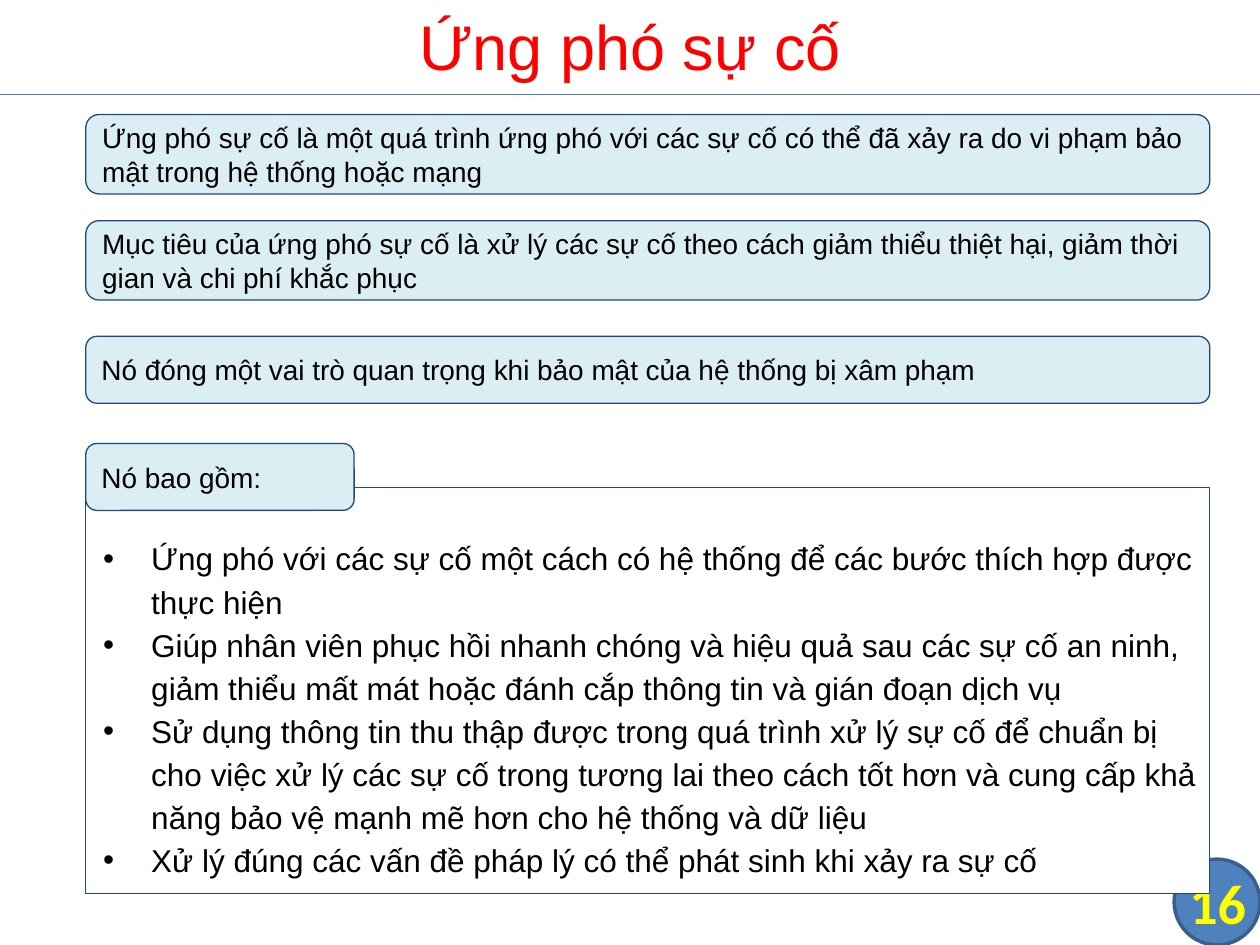
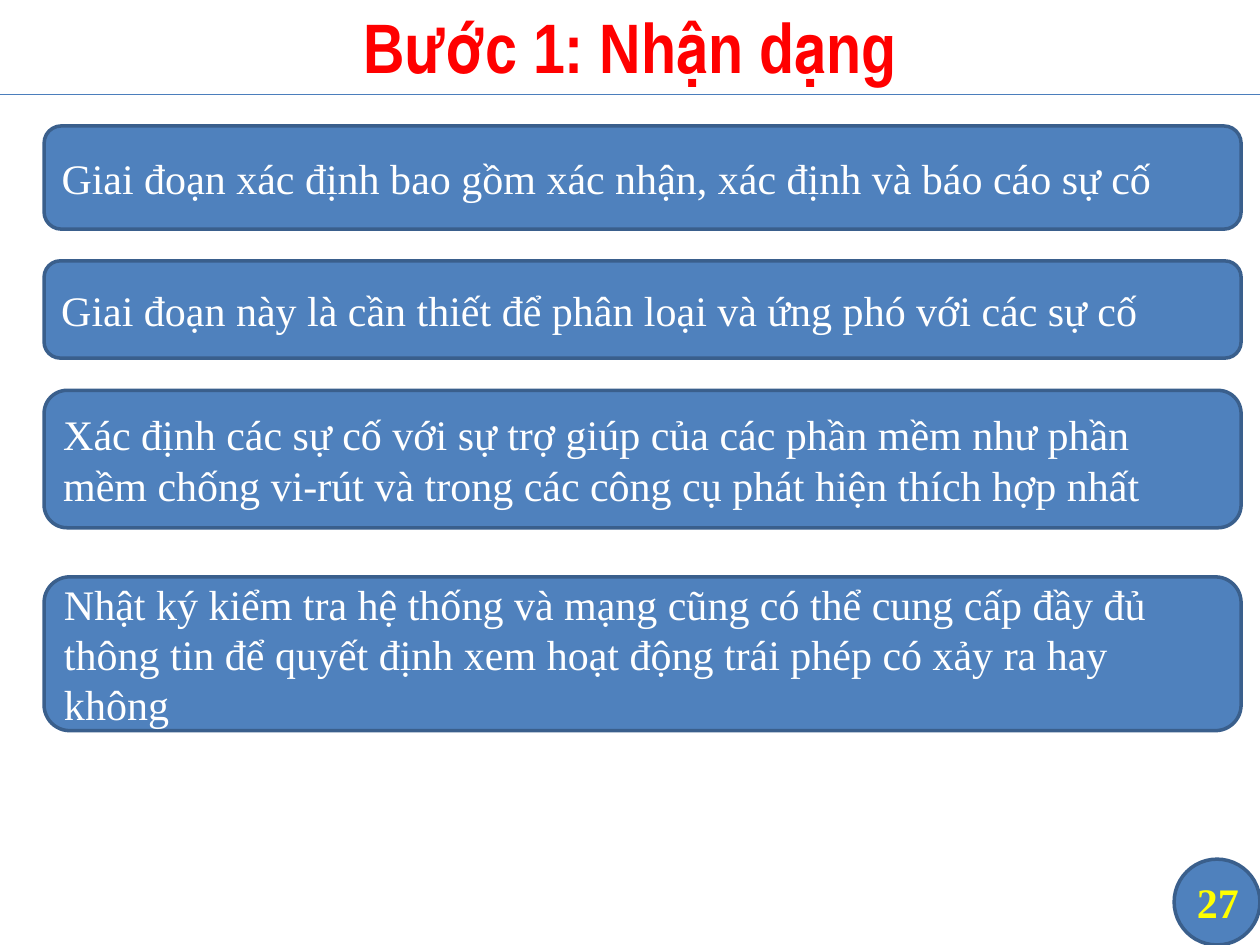
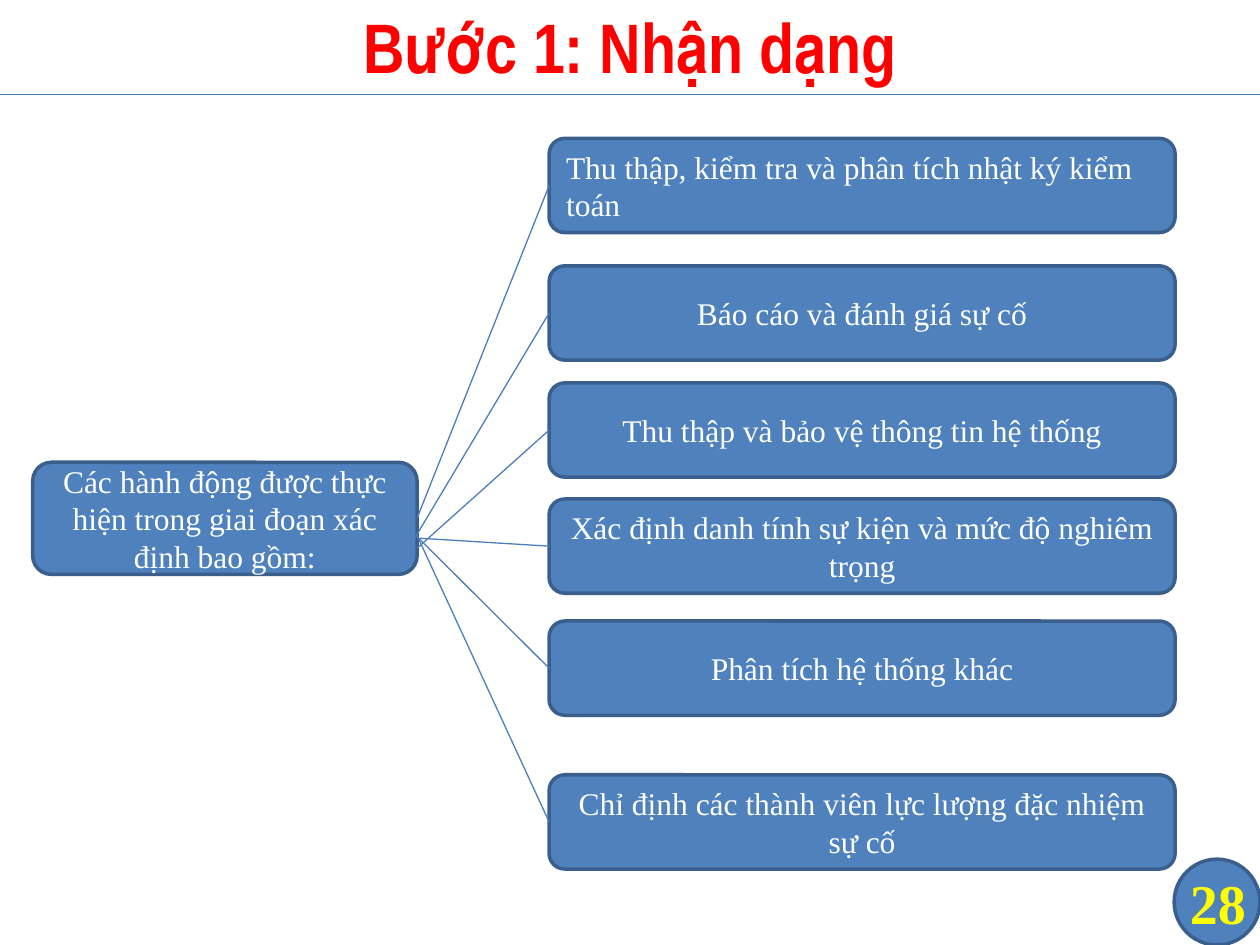
"""Build three slides on incident response and its identification step."""
from dataclasses import dataclass

from lxml import etree
from pptx import Presentation
from pptx.dml.color import RGBColor
from pptx.enum.shapes import MSO_CONNECTOR, MSO_SHAPE
from pptx.enum.text import MSO_ANCHOR, PP_ALIGN
from pptx.oxml.ns import qn
from pptx.util import Cm, Pt

ROUNDED = MSO_SHAPE.ROUNDED_RECTANGLE
RECTANGLE = MSO_SHAPE.RECTANGLE
DISC = MSO_SHAPE.FLOWCHART_CONNECTOR
STRAIGHT = MSO_CONNECTOR.STRAIGHT
LEFT, CENTER = PP_ALIGN.LEFT, PP_ALIGN.CENTER
TOP, MIDDLE = MSO_ANCHOR.TOP, MSO_ANCHOR.MIDDLE


@dataclass(frozen=True)
class Theme:
    red: str = "FF0000"
    yellow: str = "FFFF00"
    black: str = "000000"
    white: str = "FFFFFF"
    blue: str = "4F81BD"
    blue_edge: str = "3A5F8C"
    rule: str = "4B7EBC"
    pale: str = "DBEEF4"
    navy: str = "1F497D"
    sans: str = "Arial"
    narrow: str = "Arial Narrow"
    serif: str = "Times New Roman"
    rounded_sans: str = "Calibri"
    definition: int = 16
    body: int = 18
    statement: int = 24
    thin: float = 0.75
    thick: float = 2


THEME = Theme()
PALE = (THEME.pale, THEME.navy, THEME.thin)
SOLID = (THEME.blue, THEME.blue_edge, THEME.thick)
WHITE = (THEME.white, THEME.navy, THEME.thin)


def add_block(slide, at, lines=(), kind=None, paint=None, font=THEME.serif, size=THEME.body,
              color=THEME.white, align=LEFT, anchor=MIDDLE, bold=False, inset=(0.25, 0.13)):
    box = [Cm(length) for length in at]
    if kind is None:
        block = slide.shapes.add_textbox(*box)
    else:
        fill, edge, weight = paint
        block = slide.shapes.add_shape(kind, *box)
        block.shadow.inherit = False
        block.fill.solid()
        block.fill.fore_color.rgb = RGBColor.from_string(fill)
        block.line.color.rgb = RGBColor.from_string(edge)
        block.line.width = Pt(weight)
    frame = block.text_frame
    frame.word_wrap = True
    frame.vertical_anchor = anchor
    frame.margin_left = frame.margin_right = Cm(inset[0])
    frame.margin_top = frame.margin_bottom = Cm(inset[1])
    for index, line in enumerate(lines):
        paragraph = frame.add_paragraph() if index else frame.paragraphs[0]
        paragraph.text = line
        paragraph.alignment = align
        paragraph.font.name = font
        paragraph.font.size = Pt(size)
        paragraph.font.bold = bold
        paragraph.font.color.rgb = RGBColor.from_string(color)
    return frame


def add_rule(slide, *ends):
    rule = slide.shapes.add_connector(STRAIGHT, *[Cm(end) for end in ends])
    rule.line.color.rgb = RGBColor.from_string(THEME.rule)
    rule.line.width = Pt(THEME.thin)
    etree.SubElement(rule._element.spPr, qn("a:effectLst"))


deck = Presentation()
deck.slide_width, deck.slide_height = Cm(25.4), Cm(19.05)

headings = [
    ("Ứng phó sự cố", THEME.sans, 36, False, "16", THEME.rounded_sans, 32),
    ("Bước 1: Nhận dạng", THEME.narrow, 40, True, "27", THEME.serif, 24),
    ("Bước 1: Nhận dạng", THEME.narrow, 40, True, "28", THEME.serif, 32),
]
slides = []
for title, title_font, title_size, title_bold, number, number_font, number_size in headings:
    slide = deck.slides.add_slide(deck.slide_layouts[6])
    add_block(slide, (23.67, 17.32, 1.73, 1.73), kind=DISC, paint=SOLID)
    add_rule(slide, 0, 1.9, 25.4, 1.9)
    add_block(slide, (0, -0.08, 25.4, 1.98), [title], font=title_font, size=title_size,
              color=THEME.red, align=CENTER, bold=title_bold)
    add_block(slide, (23.7, 17.32, 1.7, 1.73), [number], font=number_font, size=number_size,
              color=THEME.yellow, align=CENTER, bold=True, inset=(0, 0))
    slides.append(slide)
response, identification, actions = slides

benefits = [
    "Ứng phó với các sự cố một cách có hệ thống để các bước thích hợp được thực hiện",
    "Giúp nhân viên phục hồi nhanh chóng và hiệu quả sau các sự cố an ninh, giảm thiểu mất mát "
    "hoặc đánh cắp thông tin và gián đoạn dịch vụ",
    "Sử dụng thông tin thu thập được trong quá trình xử lý sự cố để chuẩn bị cho việc xử lý các "
    "sự cố trong tương lai theo cách tốt hơn và cung cấp khả năng bảo vệ mạnh mẽ hơn cho hệ "
    "thống và dữ liệu",
    "Xử lý đúng các vấn đề pháp lý có thể phát sinh khi xảy ra sự cố",
]
add_block(response, (1.73, 9.83, 22.66, 8.18), kind=RECTANGLE, paint=WHITE)
benefit_frame = add_block(response, (1.73, 10.52, 22.66, 8.41), benefits, font=THEME.sans,
                          color=THEME.black, anchor=TOP, inset=(0.25, 0.25))
for benefit in benefit_frame.paragraphs:
    benefit.line_spacing = 1.14
    properties = benefit._p.get_or_add_pPr()
    properties.set("marL", str(Cm(1.07)))
    properties.set("indent", str(-Cm(0.97)))
    bullet_font = etree.Element(qn("a:buFont"), typeface=THEME.sans)
    bullet = etree.Element(qn("a:buChar"), char="•")
    properties.find(qn("a:lnSpc")).addnext(bullet_font)
    bullet_font.addnext(bullet)

definitions = [
    (2.31, 22.66, 1.6, "Ứng phó sự cố là một quá trình ứng phó với các sự cố có thể đã xảy ra do "
                       "vi phạm bảo mật trong hệ thống hoặc mạng"),
    (4.45, 22.66, 1.6, "Mục tiêu của ứng phó sự cố là xử lý các sự cố theo cách giảm thiểu thiệt "
                       "hại, giảm thời gian và chi phí khắc phục"),
    (6.78, 22.66, 1.35, "Nó đóng một vai trò quan trọng khi bảo mật của hệ thống bị xâm phạm"),
    (8.94, 5.41, 1.35, "Nó bao gồm:"),
]
for top, width, height, definition in definitions:
    add_block(response, (1.73, top, width, height), [definition], ROUNDED, PALE,
              font=THEME.sans, size=THEME.definition, color=THEME.black, inset=(0.25, 0.25))

statements = [
    (2.54, 2.08, ["Giai đoạn xác định bao gồm xác nhận, xác định và báo cáo sự cố"]),
    (5.26, 1.96, ["Giai đoạn này là cần thiết để phân loại và ứng phó với các sự cố"]),
    (7.87, 2.77, ["Xác định các sự cố với sự trợ giúp của các phần mềm như phần mềm chống vi-rút "
                  "và trong các công cụ phát hiện thích hợp nhất"]),
    (11.63, 3.1, ["Nhật ký kiểm tra hệ thống và mạng cũng có thể cung cấp đầy đủ",
                  "thông tin để quyết định xem hoạt động trái phép có xảy ra hay không"]),
]
for top, height, statement in statements:
    add_block(identification, (0.89, top, 24.13, height), statement, ROUNDED, SOLID,
              size=THEME.statement)

add_block(actions, (0.66, 9.32, 7.75, 2.26),
          ["Các hành động được thực hiện trong giai đoạn xác định bao gồm:"],
          ROUNDED, SOLID, align=CENTER)
branch_left, branch_height = 11.07, 1.9
branches = [
    (2.79, 8.41, 10.44, LEFT, "Thu thập, kiểm tra và phân tích nhật ký kiểm toán"),
    (5.36, 8.36, 10.85, CENTER, "Báo cáo và đánh giá sự cố"),
    (7.72, 8.41, 11.05, CENTER, "Thu thập và bảo vệ thông tin hệ thống"),
    (10.06, 8.46, 10.85, CENTER, "Xác định danh tính sự kiện và mức độ nghiêm trọng"),
    (12.52, 8.41, 10.82, CENTER, "Phân tích hệ thống khác"),
    (15.62, 8.41, 10.8, CENTER, "Chỉ định các thành viên lực lượng đặc nhiệm sự cố"),
]
for top, start_x, start_y, align, action in branches:
    add_block(actions, (branch_left, top, 12.62, branch_height), [action], ROUNDED, SOLID,
              align=align)
    add_rule(actions, start_x, start_y, branch_left, top + branch_height / 2)

deck.save("out.pptx")
